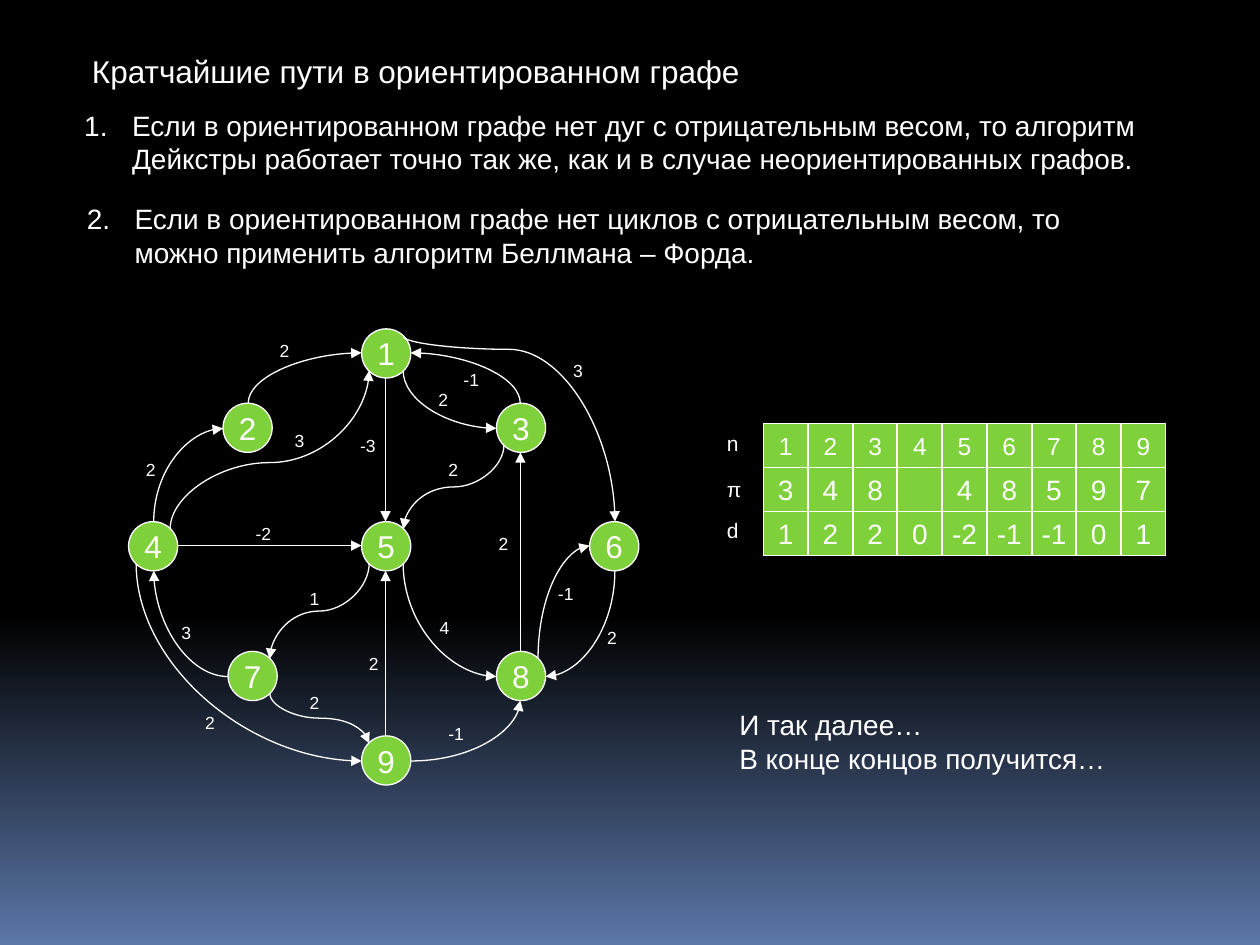
from copy import deepcopy
from math import cos, radians, sin

from pptx import Presentation
from pptx.dml.color import RGBColor
from pptx.enum.shapes import MSO_CONNECTOR, MSO_SHAPE
from pptx.enum.text import MSO_ANCHOR, PP_ALIGN
from pptx.oxml.ns import qn
from pptx.util import Inches, Pt
from lxml import etree

STRAIGHT, CURVE = MSO_CONNECTOR.STRAIGHT, MSO_CONNECTOR.CURVE
OVAL, RECTANGLE = MSO_SHAPE.OVAL, MSO_SHAPE.RECTANGLE
LEFT, CENTER = PP_ALIGN.LEFT, PP_ALIGN.CENTER
TOP, MIDDLE = MSO_ANCHOR.TOP, MSO_ANCHOR.MIDDLE
BLACK = RGBColor(0x00, 0x00, 0x00)
BLUE = RGBColor(0x5B, 0x77, 0xA8)
GREEN = RGBColor(0x7F, 0xD1, 0x3B)
WHITE = RGBColor(0xFF, 0xFF, 0xFF)

presentation = Presentation()
presentation.slide_width = Inches(10)
presentation.slide_height = Inches(7.5)
slide = presentation.slides.add_slide(presentation.slide_layouts[5])
shapes = slide.shapes

background = slide.background.fill
background.gradient()
background.gradient_angle = 270
stop_list = slide.element.find(".//" + qn("a:gsLst"))
stop_list.append(deepcopy(stop_list[-1]))
for stop, (position, color) in zip(background.gradient_stops, [(0, BLACK), (0.65, BLACK), (1, BLUE)]):
    stop.position = position
    stop.color.rgb = color


def write(shape, text, size, alignment=LEFT, anchor=TOP):
    frame = shape.text_frame
    frame.word_wrap = False
    frame.vertical_anchor = anchor
    paragraph = frame.paragraphs[0]
    paragraph.alignment = alignment
    for index, line in enumerate(text.split("\n")):
        if index:
            paragraph.add_line_break()
        run = paragraph.add_run()
        run.text = line
        run.font.name = "Arial"
        run.font.size = Pt(size)
        run.font.color.rgb = WHITE
    return paragraph


def add_green_shape(kind, left, top, side, text, size):
    shape = shapes.add_shape(kind, Inches(left), Inches(top), Inches(side), Inches(side))
    shape.shadow.inherit = False
    shape.fill.solid()
    shape.fill.fore_color.rgb = GREEN
    shape.line.color.rgb = WHITE
    shape.line.width = Pt(0.75)
    if text:
        write(shape, text, size, CENTER, MIDDLE)
    return shape


title = shapes.title
title.left, title.top = Inches(0.63), Inches(0.36)
title.width, title.height = Inches(5.35), Inches(0.4)
write(title, "Кратчайшие пути в ориентированном графе", 18)

rules = [
    (0.57, 0.81, 8.68, "Если в ориентированном графе нет дуг с отрицательным весом, то алгоритм\n"
     "Дейкстры работает точно так же, как и в случае неориентированных графов."),
    (0.59, 1.55, 8.05, "Если в ориентированном графе нет циклов с отрицательным весом, то\n"
     "можно применить алгоритм Беллмана – Форда."),
]
for number, (left, top, width, text) in enumerate(rules, 1):
    box = shapes.add_textbox(Inches(left), Inches(top), Inches(width), Inches(0.64))
    properties = write(box, text, 16)._p.get_or_add_pPr()
    properties.set("marL", str(Inches(0.38)))
    properties.set("indent", str(Inches(-0.38)))
    etree.SubElement(properties, qn("a:buFont"), typeface="+mj-lt")
    etree.SubElement(properties, qn("a:buAutoNum"), type="arabicPeriod", startAt=str(number))

NODE_SIZE = 0.39
node_corners = {
    4: (1.02, 4.14), 2: (1.77, 3.2), 1: (2.87, 2.61), 3: (3.94, 3.2), 6: (4.68, 4.14),
    5: (2.87, 4.14), 7: (1.81, 5.17), 8: (3.94, 5.17), 9: (2.87, 5.84),
}
nodes = {
    number: add_green_shape(OVAL, left, top, NODE_SIZE, str(number), 18)
    for number, (left, top) in node_corners.items()
}

SITES = ["top", "top left", "left", "bottom left", "bottom", "bottom right", "right", "top right"]
edges = [
    (4, "top", 2, "left", None), (2, "top", 1, "left", None), (1, "bottom", 5, "top", None),
    (5, "bottom left", 7, "top right", 0.5), (7, "left", 4, "bottom", None),
    (4, "top right", 1, "bottom left", 0.42), (4, "right", 5, "left", None),
    (4, "bottom left", 9, "left", None), (9, "top", 5, "bottom", None),
    (7, "bottom right", 9, "top left", 0.5), (1, "bottom right", 3, "left", None),
    (3, "top", 1, "right", None), (3, "bottom left", 5, "top right", 0.5),
    (1, "top right", 6, "top", 0.07), (9, "right", 8, "bottom", None),
    (5, "bottom right", 8, "left", None), (8, "top", 3, "bottom", None),
    (8, "top right", 6, "left", None), (6, "bottom", 8, "right", None),
]
for source, source_site, target, target_site, bend in edges:
    ends = []
    for number, site in [(source, source_site), (target, target_site)]:
        angle = radians(90 + 45 * SITES.index(site))
        left, top = node_corners[number]
        radius = NODE_SIZE / 2
        ends.append((round(left + radius + radius * cos(angle), 2), round(top + radius - radius * sin(angle), 2)))
    (x1, y1), (x2, y2) = ends
    across, down = x2 - x1, y2 - y1
    straight = abs(across) < 0.01 or abs(down) < 0.01
    connector = shapes.add_connector(
        STRAIGHT if straight else CURVE, Inches(x1), Inches(y1), Inches(x2), Inches(y2))
    connector.line.color.rgb = WHITE
    connector.line.width = Pt(0.75)
    element = connector._element
    etree.SubElement(connector.line._get_or_add_ln(), qn("a:tailEnd"), type="triangle")
    etree.SubElement(element.spPr, qn("a:effectLst"))
    links = element.find(".//" + qn("p:cNvCxnSpPr"))
    for tag, number, site in [("a:stCxn", source, source_site), ("a:endCxn", target, target_site)]:
        etree.SubElement(links, qn(tag), id=str(nodes[number].shape_id), idx=str(SITES.index(site)))
    if straight:
        continue
    geometry = element.spPr.find(qn("a:prstGeom"))
    if bend is None:
        geometry.set("prst", "curvedConnector2")
    else:
        guides = geometry.find(qn("a:avLst"))
        etree.SubElement(guides, qn("a:gd"), name="adj1", fmla=f"val {round(bend * 100000)}")
    if source_site not in ("left", "right"):
        width, height = abs(down), abs(across)
        connector.left = Inches((x1 + x2 - width) / 2)
        connector.top = Inches((y1 + y2 - height) / 2)
        connector.width, connector.height = Inches(width), Inches(height)
        connector.rotation = 90 if across < 0 else 270
        transform = element.spPr.find(qn("a:xfrm"))
        transform.set("flipH", "1" if across * down > 0 else "0")
        transform.set("flipV", "0")

weights = [
    (1.06, 3.59, "2"), (2.12, 2.65, "2"), (2.24, 3.36, "3"), (2.76, 3.4, "-3"), (3.38, 3.04, "2"),
    (3.58, 2.88, "-1"), (4.45, 2.81, "3"), (3.46, 3.59, "2"), (3.86, 4.18, "2"), (4.33, 4.58, "-1"),
    (4.72, 4.93, "2"), (3.39, 4.85, "4"), (3.46, 5.69, "-1"), (2.83, 5.13, "2"), (2.36, 4.62, "1"),
    (1.93, 4.1, "-2"), (1.34, 4.89, "3"), (2.36, 5.44, "2"), (1.53, 5.6, "2"),
]
for left, top, weight in weights:
    width = 0.28 if len(weight) == 1 else 0.38
    write(shapes.add_textbox(Inches(left), Inches(top), Inches(width), Inches(0.27)), weight, 10)

CELL_SIZE = 0.35
CELL_STEP = 0.355
rows = [
    ("n", 3.37, 14, ["1", "2", "3", "4", "5", "6", "7", "8", "9"]),
    ("π", 3.73, 16, ["3", "4", "8", "", "4", "8", "5", "9", "7"]),
    ("d", 4.06, 16, ["1", "2", "2", "0", "-2", "-1", "-1", "0", "1"]),
]
for row, (name, name_top, size, values) in enumerate(rows):
    write(shapes.add_textbox(Inches(5.67), Inches(name_top), Inches(0.3), Inches(0.3)), name, 12)
    for column, value in enumerate(values):
        add_green_shape(RECTANGLE, 6.06 + column * CELL_STEP, 3.36 + row * CELL_SIZE, CELL_SIZE, value, size)

closing = shapes.add_textbox(Inches(5.77), Inches(5.57), Inches(3.12), Inches(0.64))
write(closing, "И так далее…\nВ конце концов получится…", 16)

presentation.save("out.pptx")
